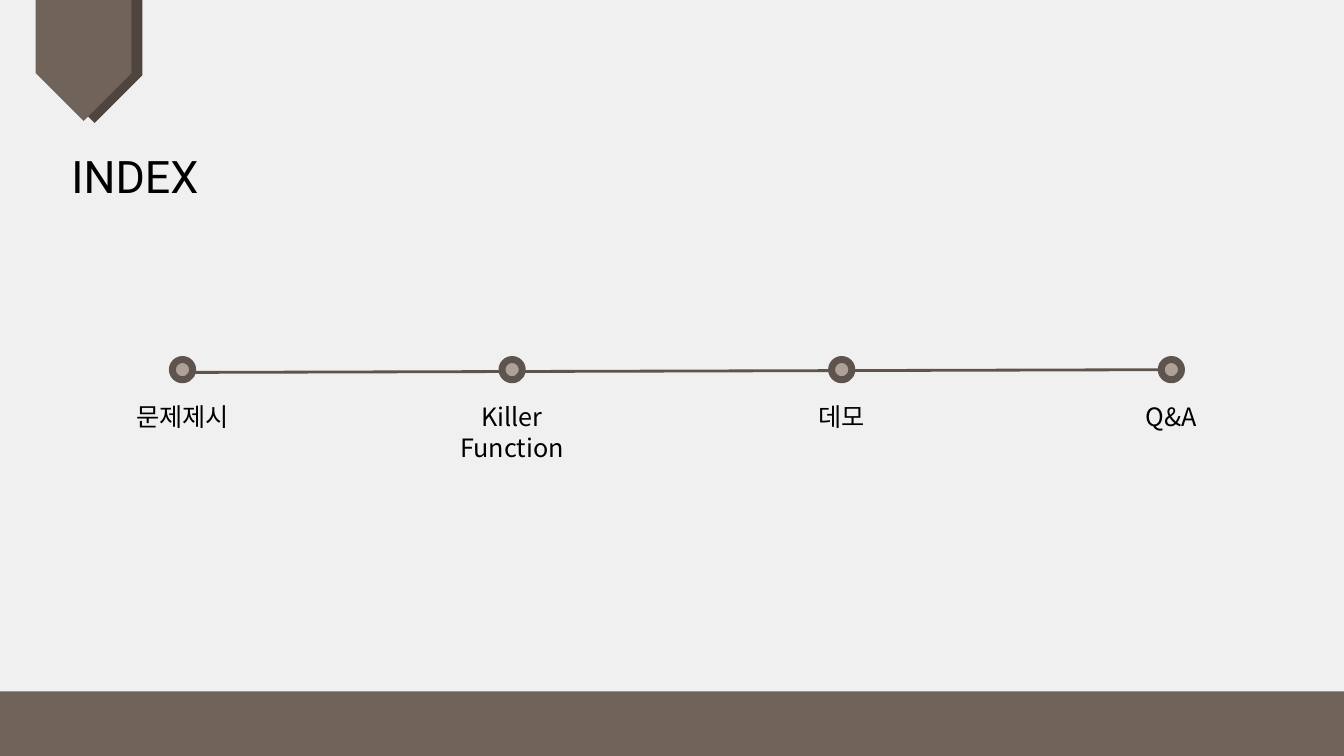
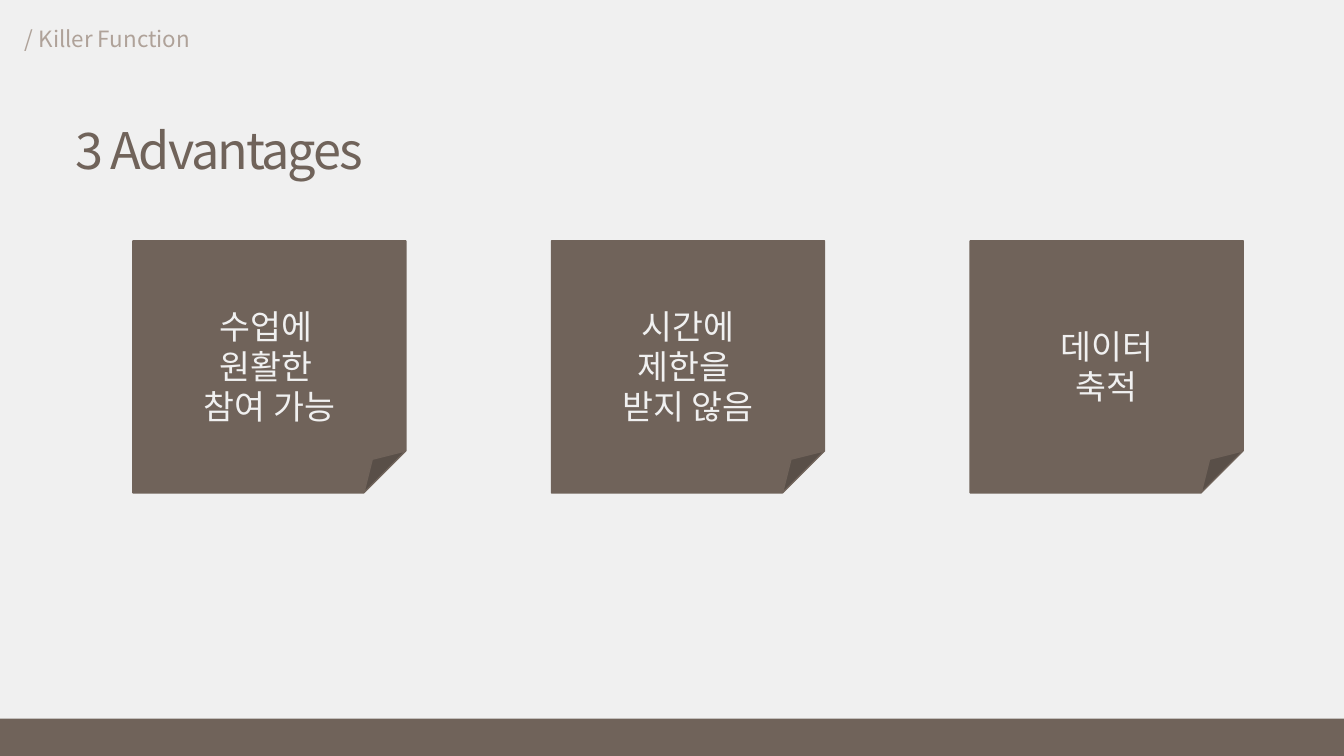
from dataclasses import dataclass

import pptx
import pptx.dml.color
import pptx.enum.shapes
import pptx.enum.text
import pptx.oxml.ns
import pptx.util
from lxml import etree

Cm, Pt = pptx.util.Cm, pptx.util.Pt
Shape = pptx.enum.shapes.MSO_SHAPE
Align = pptx.enum.text.PP_ALIGN
Fit = pptx.enum.text.MSO_AUTO_SIZE
qn = pptx.oxml.ns.qn


@dataclass(frozen=True)
class Theme:
    """Page size in cm, colours, fonts and type sizes."""
    wide: float = 33.87
    high: float = 19.05
    paper: str = "F0F0F0"
    brown: str = "70635A"
    dark: str = "50453E"
    line: str = "5F544D"
    dot: str = "AEA198"
    pale: str = "AFA299"
    ink: str = "000000"
    sans: str = "Noto Sans CJK KR"
    head: str = "Roboto"
    index: int = 32
    title: int = 36
    note: int = 24
    label: int = 18
    crumb: int = 16


T = Theme()


def rgb(code):
    """Turn a hex code into a colour."""
    return pptx.dml.color.RGBColor.from_string(code)


def draw(slide, kind, box, fill, edge=None, width=1):
    """Add a flat shape in a box of (left, top, width, height) in cm."""
    shape = slide.shapes.add_shape(kind, *map(Cm, box))
    shape.shadow.inherit = False
    shape.fill.solid()
    shape.fill.fore_color.rgb = rgb(fill)
    if edge:
        shape.line.color.rgb = rgb(edge)
        shape.line.width = Pt(width)
    else:
        shape.line.fill.background()
    return shape


def write(slide, box, text, size, color, font=T.sans, align=Align.CENTER,
          wrap=True, space=None, track=None):
    """Add a text box with one style for all its lines."""
    frame = slide.shapes.add_textbox(*map(Cm, box)).text_frame
    frame.word_wrap = wrap
    frame.auto_size = Fit.SHAPE_TO_FIT_TEXT
    frame.text = text
    for para in frame.paragraphs:
        para.alignment = align
        para.line_spacing = space
        for run in para.runs:
            run.font.size = Pt(size)
            run.font.color.rgb = rgb(color)
            run.font.name = font
            props = run.font._element
            east = etree.Element(qn("a:ea"), typeface=font)
            props.find(qn("a:latin")).addnext(east)
            if track:
                props.set("spc", str(int(track * 100)))


def page(deck, foot):
    """Add a blank slide with its ground and a foot band of given height."""
    slide = deck.slides.add_slide(deck.slide_layouts[6])
    slide.background.fill.solid()
    slide.background.fill.fore_color.rgb = rgb(T.paper)
    draw(slide, Shape.RECTANGLE, (0, T.high - foot, T.wide, foot), T.brown)
    return slide


def ribbon(slide, box, fill):
    """Hang a ribbon that points down and fills the box."""
    left, top, wide, high = box
    shift = (high - wide) / 2
    flag = draw(slide, Shape.PENTAGON,
                (left - shift, top + shift, high, wide), fill)
    flag.rotation = 90


def track(slide, box, stops):
    """Draw a line with evenly spaced dots and a label under each."""
    left, top, wide, high = box
    mid = top + high / 2
    rail = slide.shapes.add_connector(
        pptx.enum.shapes.MSO_CONNECTOR.STRAIGHT,
        Cm(left), Cm(mid + 0.07), Cm(left + wide), Cm(mid))
    rail.line.color.rgb = rgb(T.line)
    rail.line.width = Pt(2)
    etree.SubElement(rail._element.spPr, qn("a:effectLst"))
    step = wide / (len(stops) - 1)
    for i, (text, span) in enumerate(stops):
        x = left + i * step
        draw(slide, Shape.OVAL, (x - high / 2, top, high, high),
             T.dot, T.line, 5)
        rows = text.count("\n") + 1
        write(slide, (x - span / 2, top + 0.94, span, 0.24 + 0.78 * rows),
              text, T.label, T.ink)


def note(slide, box, text):
    """Draw a folded note with its text in the middle."""
    left, top, wide, high = box
    draw(slide, Shape.FOLDED_CORNER, box, T.brown, T.brown)
    pad = 0.68
    tall = 0.25 + 1.03 * (text.count("\n") + 1)
    write(slide, (left + pad, top + (high - tall) / 2, wide - 2 * pad, tall),
          text, T.note, T.paper)


def index(deck):
    """Build the index slide."""
    slide = page(deck, 1.63)
    ribbon(slide, (1.18, 0, 2.41, 3.1), T.dark)
    ribbon(slide, (0.9, 0, 2.41, 3.05), T.brown)
    write(slide, (0.89, 3.63, 5.03, 1.63), "INDEX", T.index, T.ink, T.head)
    track(slide, (4.6, 9.06, 24.92, 0.51),
          [("문제제시", 3.48), ("Killer\nFunction", 5.26),
           ("데모", 3.48), ("Q&A", 3.48)])


def merits(deck):
    """Build the slide of three notes."""
    slide = page(deck, 0.94)
    write(slide, (1.65, 1.35, 18.67, 2.95), "3 Advantages", T.title, T.brown,
          align=Align.JUSTIFY, space=2.0, track=-1.5)
    write(slide, (0.38, 0.51, 5.33, 0.94), "/ Killer Function", T.crumb,
          T.pale, align=Align.LEFT, wrap=False)
    texts = ["수업에 \n원활한 \n참여 가능", "시간에\n제한을 \n받지 않음",
             "데이터\n축적"]
    for i, text in enumerate(texts):
        note(slide, (3.35 + i * 10.55, 6.07, 6.88, 6.35), text)


deck = pptx.Presentation()
deck.slide_width, deck.slide_height = Cm(T.wide), Cm(T.high)
index(deck)
merits(deck)
deck.save("out.pptx")
